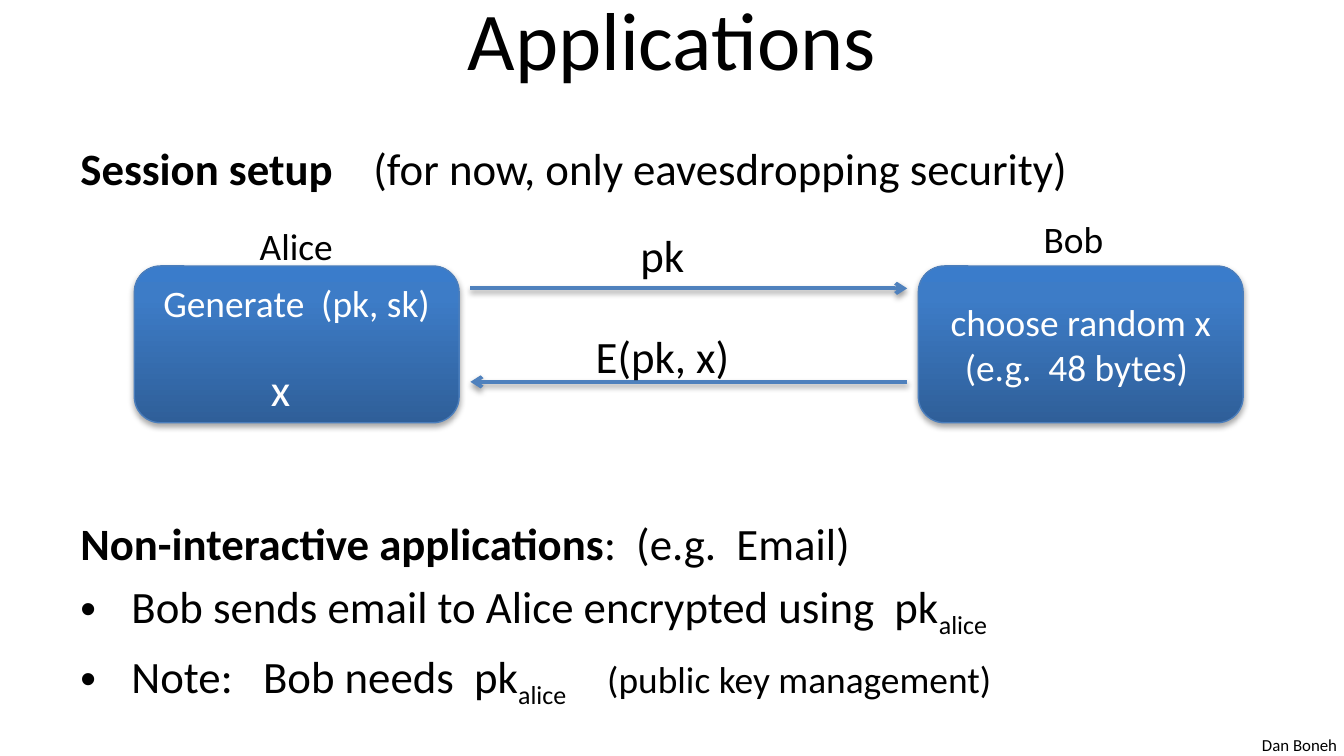
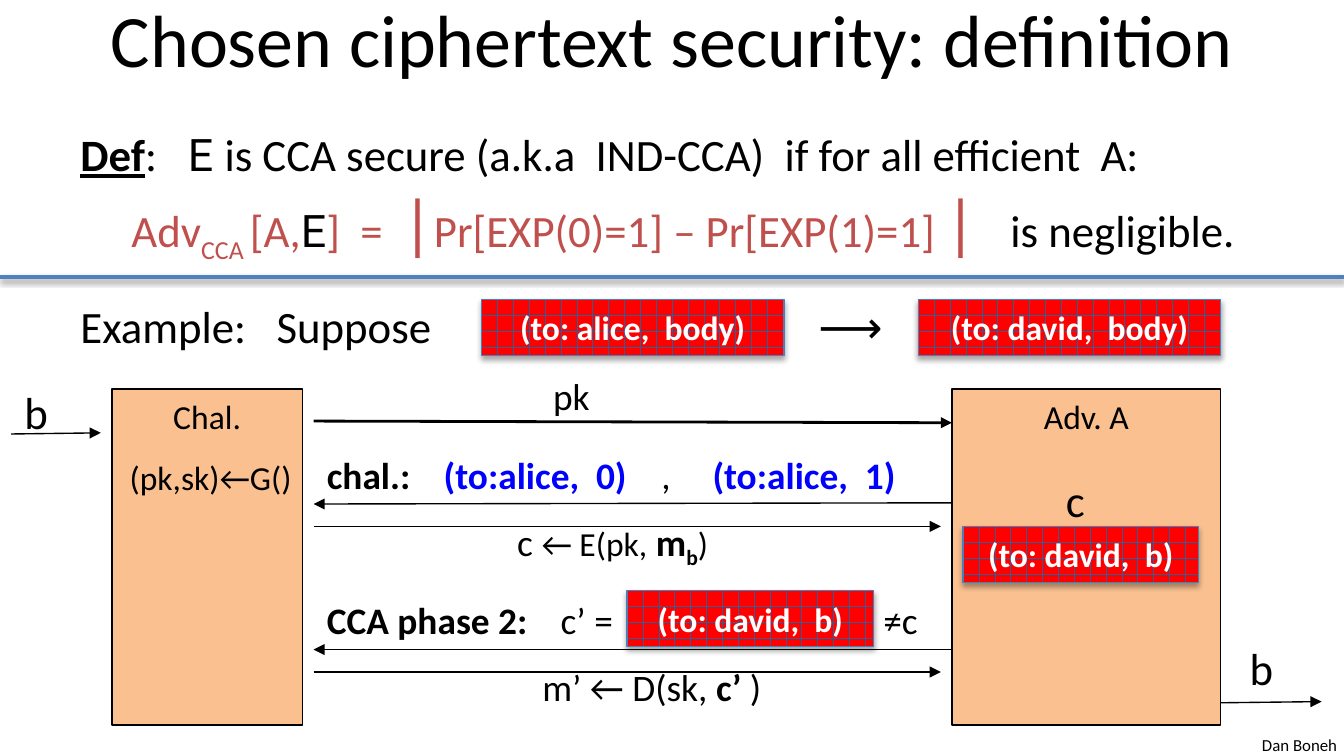
"""Build two slides on public key encryption: its uses and its security."""
from dataclasses import dataclass
from typing import Any, NamedTuple

from lxml.etree import SubElement
from pptx import Presentation
from pptx.dml.color import RGBColor as Rgb
from pptx.enum.dml import MSO_PATTERN as Pattern
from pptx.enum.shapes import MSO_CONNECTOR as Link, MSO_SHAPE as Kind
from pptx.enum.text import MSO_ANCHOR as Anchor, MSO_AUTO_SIZE as Fit, PP_ALIGN as Align
from pptx.oxml.ns import qn
from pptx.util import Inches, Pt


@dataclass(frozen=True)
class Theme:
    """Hold the colours, fonts and type sizes."""
    face: str = "Calibri"
    script: str = "Roboto"
    black: str = "000000"
    white: str = "FFFFFF"
    blue: str = "0000FF"
    red: str = "FF0000"
    rust: str = "C0504D"
    peach: str = "FAC090"
    steel: str = "4F81BD"
    edge: str = "4B7EBC"
    deep: str = "2F5F99"
    shade: tuple = ((0, "2F5F99"), (80, "3D7CC7"), (100, "3A7CCB"))
    title: float = 44
    tight: float = 39.6
    bar: float = 36
    body: float = 24
    label: float = 20
    small: float = 18
    foot: float = 9
    gap: float = 4.8


T = Theme()
COLS, ROWS = 120, 67.5


class Box(NamedTuple):
    """Place an area by column, row, width and height in grid cells."""
    x: float
    y: float
    w: float
    h: float


class Run(NamedTuple):
    """Describe a stretch of text in one format."""
    text: str
    size: float = T.body
    color: str = T.black
    bold: bool = False
    base: int = 0
    face: str = T.face
    under: bool = False


class Para(NamedTuple):
    """Describe a paragraph, with tab stops in inches."""
    runs: tuple
    gap: float = 0
    tabs: tuple = ()
    mark: str = ""
    align: Any = Align.LEFT


class Label(NamedTuple):
    """Describe a free line of text."""
    box: Box
    runs: tuple
    tabs: tuple = ()


class Panel(NamedTuple):
    """Describe a filled shape with centred lines."""
    box: Box
    lines: tuple
    style: str
    anchor: Any = Anchor.MIDDLE


class Line(NamedTuple):
    """Describe a straight line between two grid points."""
    ends: tuple
    color: str = T.black
    width: float = 0.75
    head: str = "triangle"
    glow: bool = False


def cell(n: float) -> int:
    """Turn grid cells into a length."""
    return Inches(n * 10 / COLS)


def put(obj: Any, vals: dict) -> None:
    """Set each named value on an object."""
    for key, val in vals.items():
        setattr(obj, key, val)


def add(node: Any, tag: str, **vals: Any) -> Any:
    """Append a drawing element with its values."""
    return SubElement(node, qn("a:" + tag), {k: str(v) for k, v in vals.items()})


def tint(node: Any, color: str) -> Any:
    """Append a plain colour."""
    return add(node, "srgbClr", val=color)


def drop(effects: Any, alpha: int, dist: float) -> None:
    """Add a soft shadow straight below."""
    cast = add(effects, "outerShdw", blurRad=Pt(3.1), dist=Pt(dist), dir=5400000, rotWithShape=0)
    add(tint(cast, T.black), "alpha", val=alpha * 1000)


def write(shape: Any, paras: tuple, wrap: bool = True, anchor: Any = Anchor.TOP) -> None:
    """Fill a shape with formatted paragraphs."""
    frame = shape.text_frame
    put(frame, {"word_wrap": wrap, "auto_size": Fit.NONE, "vertical_anchor": anchor})
    for i, para in enumerate(paras):
        line = frame.add_paragraph() if i else frame.paragraphs[0]
        put(line, {"alignment": para.align, "space_before": Pt(para.gap)})
        props = line._p.get_or_add_pPr()
        if para.mark:
            props.set("marL", str(Inches(0.38)))
            props.set("indent", str(-Inches(0.38)))
            add(props, "buFont", typeface="Arial")
            add(props, "buChar", char=para.mark)
        if para.tabs:
            stops = add(props, "tabLst")
            for tab in para.tabs:
                add(stops, "tab", pos=Inches(tab), algn="l")
        for run in para.runs:
            part = line.add_run()
            part.text = run.text
            put(part.font, {"name": run.face, "size": Pt(run.size), "bold": run.bold,
                            "underline": run.under})
            part.font.color.rgb = Rgb.from_string(run.color)
            if run.base:
                part._r.get_or_add_rPr().set("baseline", str(run.base * 1000))


def block(slide: Any, box: Box, paras: tuple, wrap: bool = True) -> None:
    """Draw a text box."""
    write(slide.shapes.add_textbox(*map(cell, box)), paras, wrap)


def label(slide: Any, item: Label) -> None:
    """Draw a label, which wraps only where it has tabs."""
    block(slide, item.box, (Para(item.runs, tabs=item.tabs),), bool(item.tabs))


def panel(slide: Any, item: Panel) -> None:
    """Draw a shaded, bricked or flat panel."""
    kind = Kind.ROUNDED_RECTANGLE if item.style == "shade" else Kind.RECTANGLE
    shape = slide.shapes.add_shape(kind, *map(cell, item.box))
    flat = item.style == "flat"
    if item.style == "shade":
        fill = add(shape._element.spPr, "gradFill", rotWithShape=1)
        stops = add(fill, "gsLst")
        for pos, color in T.shade:
            tint(add(stops, "gs", pos=pos * 1000), color)
        add(fill, "lin", ang=16200000, scaled=0)
    elif flat:
        shape.fill.solid()
        shape.fill.fore_color.rgb = Rgb.from_string(T.peach)
    else:
        shape.fill.patterned()
        shape.fill.pattern = Pattern.HORIZONTAL_BRICK
        shape.fill.fore_color.rgb = Rgb.from_string(T.deep)
        shape.fill.back_color.rgb = Rgb.from_string(T.red)
    shape.line.width = Pt(0.75)
    shape.line.color.rgb = Rgb.from_string(T.black if flat else T.edge)
    shape.shadow.inherit = False
    if not flat:
        drop(shape._element.spPr.find(qn("a:effectLst")), 35, 1.8)
    size = T.label if item.style == "shade" else T.small
    look = {"size": size, "color": T.black if flat else T.white, "bold": item.style == "brick"}
    write(shape, tuple(Para((Run(text, **look),), align=Align.CENTER) for text in item.lines),
          not flat, item.anchor)


def stroke(slide: Any, item: Line) -> None:
    """Draw a line, with its arrowhead and shadow if any."""
    link = slide.shapes.add_connector(Link.STRAIGHT, *map(cell, item.ends))
    link.line.width = Pt(item.width)
    link.line.color.rgb = Rgb.from_string(item.color)
    props = link._element.spPr
    if item.head:
        add(props.find(qn("a:ln")), "tailEnd", type=item.head)
    effects = add(props, "effectLst")
    if item.glow:
        drop(effects, 38, 1.6)


DRAW = {Label: label, Panel: panel, Line: stroke}


def page(deck: Any, title: str, size: float, area: Box, paras: tuple, items: tuple) -> None:
    """Add a slide with title, body, footer and drawn items."""
    slide = deck.slides.add_slide(deck.slide_layouts[5])
    head = slide.shapes.title
    put(head, dict(zip(("left", "top", "width", "height"), map(cell, (6, -2.25, 108, 11.25)))))
    write(head, (Para((Run(title, size),), align=Align.CENTER),), anchor=Anchor.MIDDLE)
    label(slide, Label(Box(111.5, 65, 9.1, 3), (Run("Dan Boneh", T.foot),)))
    block(slide, area, paras)
    for item in items:
        DRAW[type(item)](slide, item)


def word(x: float, y: float, w: float, text: str, size: float = T.body,
         color: str = T.black) -> Label:
    """Make a label of one run."""
    return Label(Box(x, y, w, size / 4), (Run(text, size, color),))


SUB = Run("alice", base=-25)
USES = (
    Para((Run("Session setup\t", bold=True), Run("(for now, only eavesdropping security)")),
         T.gap, (2.18,)),
    Para((Run("Non-interactive applications", bold=True), Run(":  (e.g.  Email)")), 172),
    Para((Run("Bob sends email to Alice encrypted using  pk"), SUB), T.gap, mark="•"),
    Para((Run("Note:\tBob needs  pk"), SUB, Run("\t(public key management)", T.label)),
         T.gap, (1.36, 3.92), "•"),
)
FLOW = {"color": T.steel, "width": 2, "head": "arrow", "glow": True}
SETUP = (
    Panel(Box(12, 23.75, 29, 14), ("Generate  (pk, sk)",), "shade", Anchor.TOP),
    word(22, 19.3, 9, "Alice", T.label),
    Panel(Box(82, 23.75, 29, 14), ("choose random x", "(e.g.  48 bytes) "), "shade"),
    word(92, 18.75, 7.8, "Bob", T.label),
    Line((42, 25.75, 81, 25.75), **FLOW),
    word(56, 19.75, 6.5, "pk"),
    Line((81, 34.1, 42, 34.1), **FLOW),
    word(52, 28.75, 14.5, "E(pk, x)"),
    word(23, 31.75, 4.2, "x", color=T.white),
)

RUST = {"color": T.rust}
CLAIM = (
    Para((Run("Def", bold=True, under=True), Run(":\t"), Run("E ", face=T.script),
          Run("is CCA secure (a.k.a  IND-CCA)  if for all efficient  A:")), T.gap, (0.8,)),
    Para((Run("\tAdv", **RUST), Run("CCA ", base=-25, **RUST), Run("[A,", **RUST),
          Run("E", face=T.script), Run("]  =  ", **RUST), Run("|", T.bar, **RUST),
          Run("Pr[EXP(0)=1] – Pr[EXP(1)=1] ", **RUST), Run("|", T.bar, **RUST),
          Run("\tis negligible.")), tabs=(0.38, 6.92)),
    Para((Run("Example:\tSuppose\t⟶"),), 18.2, (1.46, 5.49)),
)
MID = {"size": T.label}
BOLD = {"size": T.label, "bold": True}
LEFT, RIGHT, NEAR = 28, 85, 84
GAME = (
    Line((0, 24.75, COLS, 24.75), T.steel, 2, "", True),
    Panel(Box(43, 26.75, 27, 5), ("(to: alice,  body)",), "brick"),
    Panel(Box(82, 26.75, 27, 5), ("(to: david,  body)",), "brick"),
    Panel(Box(RIGHT, 34.75, 24, 30), ("Adv. A",), "flat", Anchor.TOP),
    Line((1, 38.75, 9, 38.65)),
    word(1, 33.75, 4.5, "b"),
    Panel(Box(10, 34.75, 17, 30), ("Chal.",), "flat", Anchor.TOP),
    word(10.4, 40.2, 17.3, "(pk,sk)←G()", T.small),
    Line((109, 62.75, 118, 62.65)),
    word(110.4, 56.6, 4.5, "b"),
    Line((RIGHT, 44.9, LEFT, 45)),
    Label(Box(LEFT, 39.75, 54, 5.25),
          (Run("chal.:\t", **BOLD), Run("(to:alice,  0)", color=T.blue, **BOLD),
           Run("\t,\t", **MID), Run("(to:alice,  1)", color=T.blue, **BOLD)), (0.87, 2.49, 2.87)),
    Line((LEFT, 47, NEAR, 47)),
    Label(Box(45, 45.75, 20, 5.25),
          (Run("c ", **MID), Run("← E(pk,", T.small), Run(" m", **BOLD),
           Run("b", base=-25, **BOLD), Run(")", T.small))),
    Line((LEFT, 37.6, RIGHT, 37.75), width=1.5),
    word(48.2, 32.75, 5.75, "pk", T.label),
    Line((RIGHT, 58, LEFT, 58)),
    Label(Box(LEFT, 52.75, 56, 5.25),
          (Run("CCA phase 2:\t", **BOLD), Run("c’ =\t≠c", **MID)), (1.74, 4.14)),
    Line((LEFT, 60, NEAR, 60)),
    Label(Box(47.25, 58.75, 22.4, 5.25),
          (Run("m’ ← D(sk, ", **MID), Run("c’ ", **BOLD), Run(")", **MID))),
    Panel(Box(86, 47, 21, 5), ("(to: david,  b)",), "brick"),
    Panel(Box(56, 52.75, 22, 5), ("(to: david,  b)",), "brick"),
    word(94, 41.6, 4.1, "c"),
)


def main() -> None:
    """Build and save the deck."""
    deck = Presentation()
    put(deck, {"slide_width": cell(COLS), "slide_height": cell(ROWS)})
    page(deck, "Applications", T.title, Box(6, 12, 108, 53.75), USES, SETUP)
    page(deck, "Chosen ciphertext security: definition", T.tight,
         Box(6, 10.75, 112, 53.75), CLAIM, GAME)
    deck.save("out.pptx")


main()
